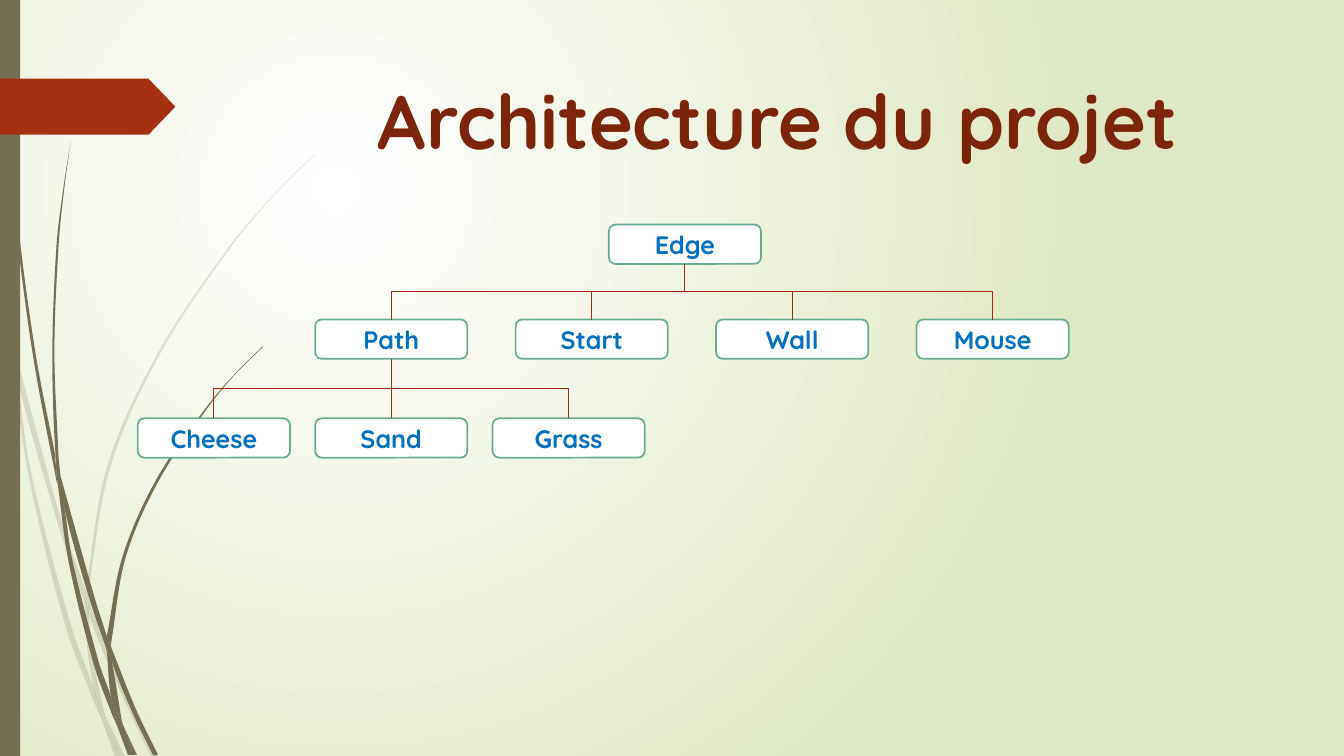
import math
import pptx
import pptx.util
import pptx.dml.color
import pptx.enum.shapes
import pptx.enum.text
import pptx.oxml.ns

Pt = pptx.util.Pt
RGB = pptx.dml.color.RGBColor
KINDS = pptx.enum.shapes.MSO_SHAPE
LINKS = pptx.enum.shapes.MSO_CONNECTOR
ANCHOR = pptx.enum.text.MSO_ANCHOR
CENTER = pptx.enum.text.PP_ALIGN.CENTER
qn = pptx.oxml.ns.qn

WHITE = RGB(0xFF, 0xFF, 0xFF)
LIME = RGB(0xDF, 0xE8, 0xC4)
OLIVE = RGB(0x76, 0x6F, 0x54)
RUST = RGB(0xA5, 0x30, 0x10)
BROWN = RGB(0x7C, 0x24, 0x0C)
WIRE = RGB(0x9E, 0x2E, 0x0F)
GREEN = RGB(0x6A, 0xAC, 0x91)
BLUE = RGB(0x00, 0x70, 0xC0)
FONT = "Quicksand"

NODE_W, NODE_H = 108.7, 28.1

# Parts of the grass: the left edge going down, then the right edge going up
PALE = [
    ([(0, 215.3), (7.2, 247.7), (7.9, 252)], [(7.9, 252), (6.5, 231.8), (0, 203)]),
    ([(10.1, 248.4), (12.2, 270.7), (41.8, 375.8), (60.5, 431.3)],
     [(61.2, 421.9), (44.6, 374.4), (10.1, 248.4)]),
    ([(63.4, 429.1), (63.4, 439.2), (88.6, 499.7), (108, 540.7)],
     [(111.6, 540.7), (91.4, 498.2), (66.2, 437), (63.4, 429.1)]),
    ([(75.6, 511.9), (85.7, 540.7)], [(89.3, 540.7), (75.6, 511.9)]),
    ([(7.9, 252), (20.2, 338.4), (46.8, 447.1), (66.2, 499), (72.7, 514.1)],
     [(71.3, 509), (67, 491.8), (50.4, 445.7), (22.3, 337.7), (12.2, 270.7), (7.9, 252)]),
    ([(60.5, 431.3), (62.6, 465.1), (67, 491.8), (69.1, 498.2), (75.6, 511.9)],
     [(74.2, 508.3), (65.5, 465.1), (63.4, 439.2), (60.5, 431.3)]),
    ([(224.6, 110.2), (208.1, 126), (193, 141.8), (164.2, 175.7), (113.8, 250.6),
      (77, 331.9), (61.2, 421.9)],
     [(63.4, 429.1), (63.4, 420.5), (79.2, 332.6), (115.2, 251.3), (164.9, 176.4),
      (193, 142.6), (208.8, 126), (224.6, 110.9)]),
    ([(72.7, 514.1), (82.1, 540.7)], [(85.7, 540.7), (72.7, 514.1)]),
    ([(61.2, 421.9), (60.5, 431.3)], [(63.4, 439.2), (63.4, 429.1)]),
    ([(67, 491.8), (71.3, 509), (72.7, 514.1), (85.7, 540.7)],
     [(75.6, 511.9), (69.1, 498.2), (67, 491.8)]),
]
DARK = [
    ([(2.2, 0), (2.9, 34.6), (5, 79.2), (12.2, 167.8), (23.8, 255.6), (40.3, 343.4), (41, 346.3)],
     [(39.6, 329), (39.6, 326.2), (25.9, 255.6), (13.7, 167), (5.8, 78.5), (3.6, 34.6), (2.9, 0)]),
    ([(43.2, 339.8), (46.1, 363.6), (63.4, 426.2), (76.3, 464.4)],
     [(76.3, 454.3), (67, 424.8), (43.2, 339.8)]),
    ([(79.2, 461.5), (79.9, 472.3), (95, 509.8), (109.4, 539.3)],
     [(113, 539.3), (97.9, 508.3), (81.4, 467.3), (79.2, 461.5)]),
    ([(41, 343.4), (49, 401), (67, 474.5), (79.9, 509.8), (84.2, 519.8)],
     [(83.5, 516.2), (79.2, 497.5), (70.6, 473), (51.8, 400.3), (46.1, 363.6), (41, 343.4)]),
    ([(50.4, 101.5), (44.6, 139), (40.3, 176.4), (37.4, 251.3), (39.6, 323.3), (43.2, 339.8)],
     [(41.8, 326.2), (38.9, 251.3), (41.8, 176.4), (45.4, 139), (50.4, 101.5)]),
    ([(87.8, 517.7), (95.8, 539.3)], [(97.9, 539.3), (87.8, 517.7)]),
    ([(39.6, 323.3), (41, 343.4), (46.1, 363.6)], [(43.2, 339.8), (39.6, 323.3)]),
    ([(187.2, 247.7), (166.3, 268.6), (146.9, 291.6), (112.3, 341.3), (87.8, 396.7), (76.3, 454.3)],
     [(79.2, 461.5), (79.9, 455.8), (90, 397.4), (113.8, 342.7), (147.6, 292.3),
      (166.3, 269.3), (187.9, 247.7)]),
    ([(84.2, 519.8), (91.4, 539.3)], [(94.3, 539.3), (84.2, 519.8)]),
    ([(76.3, 464.4), (79.2, 497.5), (83.5, 508.3), (87.8, 517.7)],
     [(87.1, 515.5), (79.9, 472.3), (78.5, 468.7), (76.3, 464.4)]),
    ([(76.3, 454.3), (76.3, 464.4)], [(79.9, 472.3), (79.2, 461.5)]),
    ([(79.2, 497.5), (83.5, 516.2), (84.2, 519.8), (93.6, 539.3)],
     [(95.8, 539.3), (87.8, 517.7), (83.5, 508.3), (79.2, 497.5)]),
]


def paint(shape, fill, edge=None):
    shape.shadow.inherit = False
    shape.fill.solid()
    shape.fill.fore_color.rgb = fill
    if edge is None:
        shape.line.fill.background()
    else:
        shape.line.color.rgb = edge
        shape.line.width = Pt(1.25)


def block(slide, kind, left, top, width, height, fill, edge=None):
    shape = slide.shapes.add_shape(kind, Pt(left), Pt(top), Pt(width), Pt(height))
    paint(shape, fill, edge)
    return shape


def pull(knot, back, ahead, reach):
    """Control point a third of the reach away, along back to ahead."""
    span = math.dist(back, ahead) or 1
    return [k + (a - b) / span * reach / 3 for k, a, b in zip(knot, ahead, back)]


def bend(line, a, b, c, d):
    """Turn the straight line from b to c into a curve between a and d."""
    reach = math.dist(b, c)
    line.tag = qn("a:cubicBezTo")
    for i, (x, y) in enumerate((pull(b, a, c, reach), pull(c, d, b, reach))):
        spot = line.makeelement(qn("a:pt"), {"x": str(round(x)), "y": str(round(y))})
        line.insert(i, spot)


def blade(slide, down, up, alpha=None):
    dots = [(Pt(x), Pt(y)) for x, y in down + up]
    pen = slide.shapes.build_freeform(*dots[0], scale=1.0)
    pen.add_line_segments(dots[1:], close=True)
    shape = pen.convert_to_shape()
    paint(shape, OLIVE)
    spots = [(x - shape.left, y - shape.top) for x, y in dots]
    lines = shape.element.findall(".//" + qn("a:lnTo"))
    half = len(down)
    for first, last in ((0, half - 1), (half, len(dots) - 1)):
        for i in range(first, last):
            bend(lines[i], spots[max(i - 1, first)], spots[i],
                 spots[i + 1], spots[min(i + 2, last)])
    if alpha:
        tint = shape.element.spPr.find(".//" + qn("a:srgbClr"))
        tint.append(tint.makeelement(qn("a:alpha"), {"val": str(alpha * 1000)}))


def write(shape, text, size, color, anchor):
    frame = shape.text_frame
    frame.text = text
    frame.word_wrap = True
    frame.vertical_anchor = anchor
    line = frame.paragraphs[0]
    line.alignment = CENTER
    font = line.runs[0].font
    font.name, font.size, font.bold = FONT, Pt(size), True
    font.color.rgb = color


def node(slide, text, left, top):
    shape = block(slide, KINDS.ROUNDED_RECTANGLE, left, top, NODE_W, NODE_H, WHITE, GREEN)
    write(shape, text, 18, BLUE, ANCHOR.MIDDLE)
    return shape


def row(slide, names, left, top, pitch):
    return [node(slide, name, left + i * pitch, top) for i, name in enumerate(names)]


def link(slide, above, below):
    """Elbow from the bottom of one node to the top of another."""
    wire = slide.shapes.add_connector(LINKS.ELBOW, 0, 0, 0, 0)
    wire.begin_connect(above, 2)
    wire.end_connect(below, 0)
    x1, y1, x2, y2 = wire.begin_x, wire.begin_y, wire.end_x, wire.end_y
    # Turn a quarter so that the elbow leaves downwards
    wide, high = y2 - y1, abs(x2 - x1)
    wire.left, wire.top = (x1 + x2 - wide) // 2, (y1 + y2 - high) // 2
    wire.width, wire.height = wide, high
    props = wire.element.spPr
    form = props.find(qn("a:xfrm"))
    form.set("flipH", "1" if x2 > x1 else "0")
    form.set("rot", "16200000" if x2 > x1 else "5400000")
    wire.line.color.rgb = WIRE
    wire.line.width = Pt(0.75)
    props.append(props.makeelement(qn("a:effectLst"), {}))


def backdrop(slide):
    fill = slide.background.fill
    fill.gradient()
    for stop, color in zip(fill.gradient_stops, (WHITE, LIME)):
        stop.color.rgb = color
    grad = slide.element.find(".//" + qn("a:gradFill"))
    glow = grad.makeelement(qn("a:path"), {"path": "circle"})
    rect = {"l": "50000", "t": "50000", "r": "100000", "b": "100000"}
    glow.append(glow.makeelement(qn("a:fillToRect"), rect))
    grad.replace(grad.find(qn("a:lin")), glow)


def main():
    deck = pptx.Presentation()
    deck.slide_width, deck.slide_height = Pt(960), Pt(540)
    slide = deck.slides.add_slide(deck.slide_layouts[6])
    # Decor
    backdrop(slide)
    for blades, alpha in ((PALE, 20), (DARK, None)):
        for down, up in blades:
            blade(slide, down, up, alpha)
    block(slide, KINDS.RECTANGLE, 0, 0, 14.4, 540, OLIVE)
    tag = block(slide, KINDS.PENTAGON, 0, 56.2, 125.3, 40, RUST)
    tag.adjustments[0] = 0.48
    # Title
    title = slide.shapes.add_textbox(Pt(204.5), Pt(49), Pt(702), Pt(100.8))
    write(title, "Architecture du projet", 54, BROWN, ANCHOR.TOP)
    # Class tree
    edge = node(slide, "Edge", 434.9, 160.4)
    kids = row(slide, ["Path", "Start", "Wall", "Mouse"], 225.1, 228.2, 143.2)
    tiles = row(slide, ["Cheese", "Sand", "Grass"], 98.4, 298.8, 126.7)
    for root, leaves in ((edge, kids), (kids[0], tiles)):
        for leaf in leaves:
            link(slide, root, leaf)
    deck.save("out.pptx")


main()
